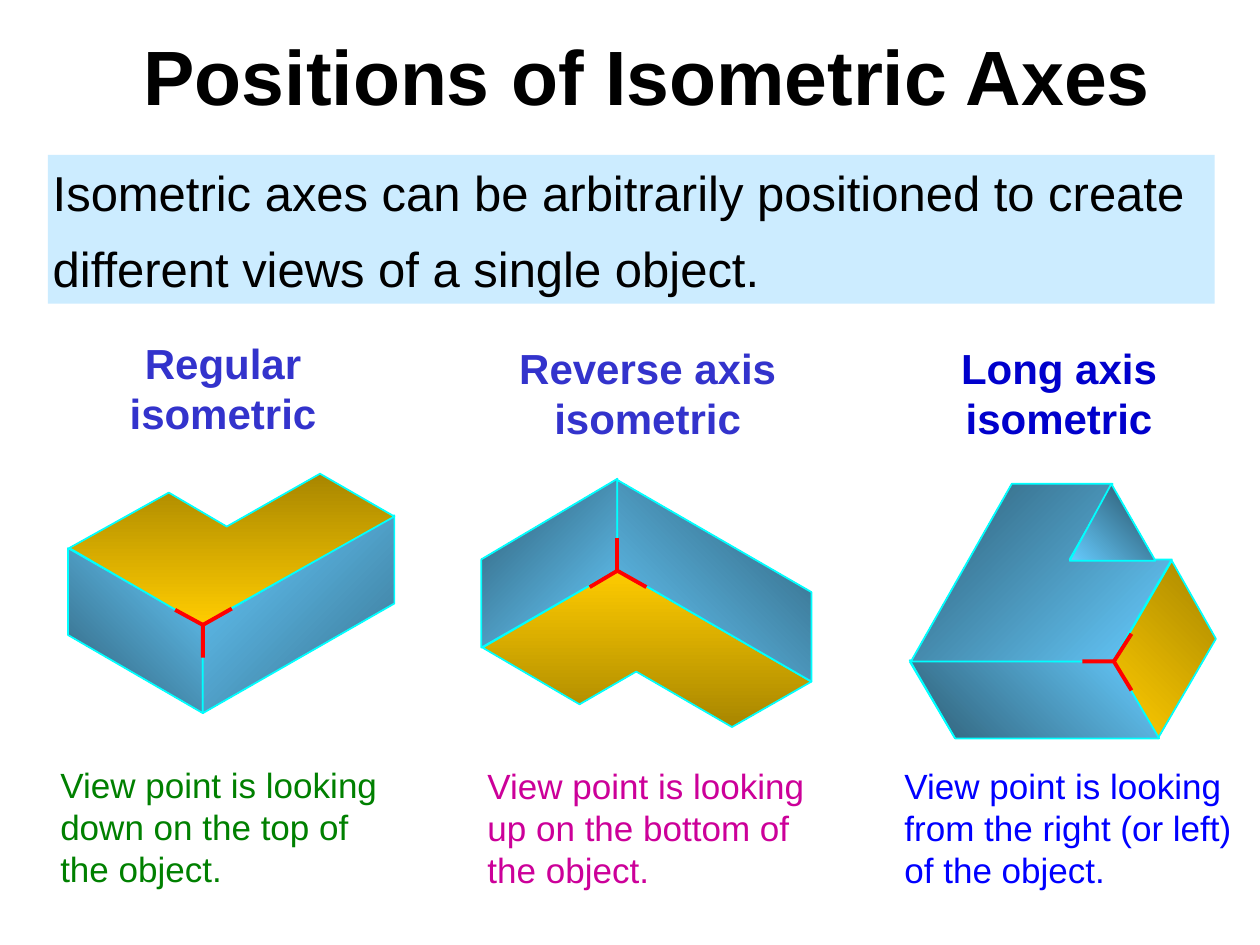
from lxml import etree
from pptx import Presentation
from pptx.dml.color import RGBColor
from pptx.enum.shapes import MSO_CONNECTOR, MSO_SHAPE
from pptx.enum.text import MSO_AUTO_SIZE, PP_ALIGN
from pptx.oxml.ns import qn
from pptx.util import Inches, Pt

CENTER, LEFT = PP_ALIGN.CENTER, PP_ALIGN.LEFT
FIT_SHAPE = MSO_AUTO_SIZE.SHAPE_TO_FIT_TEXT
STRAIGHT = MSO_CONNECTOR.STRAIGHT
RECTANGLE = MSO_SHAPE.RECTANGLE

THEME = {
    "font": "Arial",
    "title_size": 44, "statement_size": 28, "heading_size": 24, "caption_size": 20,
    "text": "000000", "banner": "CCECFF",
    "edge": "00FFFF", "edge_width": 1,
    "axis": "FF0000", "axis_width": 2.25,
    "gold_bright": ("FFCC00", "A88600"), "gold_dim": ("A88600", "FFCC00"),
    "blue_bright": ("66CCFF", "2F5E75"), "blue_dim": ("2F5E75", "66CCFF"),
    "blue_soft": ("38718E", "66CCFF"), "blue_deep": ("24495B", "66CCFF"),
}

TITLE = "Positions of Isometric Axes"
STATEMENT = ("Isometric axes can be arbitrarily positioned to create "
             "different views of a single object.")

VIEWS = [
    {
        "heading": ["Regular", "isometric"],
        "heading_box": (0.93, 2.63, 1.68, 0.9), "heading_color": "3333CC",
        "caption": ["View point is looking", "down on the top of", "the object."],
        "caption_box": (0.38, 6.01, 2.72, 1.1), "caption_color": "008000",
        "faces": [
            ("blue_bright", 135, [(0.54, 4.35), (0.54, 5.04), (1.61, 5.66), (1.61, 4.96)]),
            ("blue_soft", 225, [(1.61, 5.66), (3.13, 4.79), (3.13, 4.09), (1.61, 4.96)]),
            ("gold_dim", 90, [(0.55, 4.35), (1.6, 4.96), (3.13, 4.1), (2.54, 3.76),
                              (1.8, 4.18), (1.34, 3.91)]),
        ],
        "edges": [],
        "axis_pair": [(1.39, 4.84), (1.61, 4.96), (1.61, 5.22)],
        "axis_end": (1.84, 4.83),
    },
    {
        "heading": ["Reverse axis", "isometric"],
        "heading_box": (4.02, 2.67, 2.24, 0.9), "heading_color": "3333CC",
        "caption": ["View point is looking", "up on the bottom of", "the object."],
        "caption_box": (3.77, 6.02, 2.72, 1.1), "caption_color": "CC0099",
        "faces": [
            ("gold_bright", 90, [(3.83, 5.14), (4.6, 5.59), (5.05, 5.33), (5.81, 5.77),
                                 (6.44, 5.41), (4.9, 4.52)]),
            ("blue_bright", 225, [(3.82, 5.14), (3.82, 4.44), (4.9, 3.8), (4.9, 4.52)]),
            ("blue_dim", 135, [(6.44, 5.41), (4.9, 4.52), (4.9, 3.81), (6.44, 4.7)]),
        ],
        "edges": [],
        "axis_pair": [(4.68, 4.66), (4.9, 4.53), (5.13, 4.66)],
        "axis_end": (4.9, 4.27),
    },
    {
        "heading": ["Long axis", "isometric"],
        "heading_box": (7.5, 2.67, 1.81, 0.9), "heading_color": "0000CC",
        "caption": ["View point is looking", "from the right (or left)", "of the object."],
        "caption_box": (7.08, 6.02, 2.8, 1.1), "caption_color": "0000FF",
        "faces": [
            ("gold_dim", 135, [(9.19, 5.86), (9.65, 5.07), (9.3, 4.45), (8.84, 5.24)]),
            ("blue_bright", 135, [(9.2, 5.86), (7.58, 5.86), (7.22, 5.24), (8.84, 5.25)]),
            ("blue_bright", 225, [(7.23, 5.25), (8.03, 3.84), (8.83, 3.84), (8.49, 4.44),
                                  (9.3, 4.44), (8.83, 5.25)]),
            ("blue_deep", 135, [(8.82, 3.84), (9.17, 4.45), (8.49, 4.45)]),
        ],
        "edges": [((7.22, 5.25), (7.58, 5.86))],
        "axis_pair": [(8.59, 5.25), (8.84, 5.25), (8.98, 5.48)],
        "axis_end": (8.98, 5.03),
    },
]


def style_line(line, role):
    line.color.rgb = RGBColor.from_string(THEME[role])
    line.width = Pt(THEME[role + "_width"])


def add_outline(shapes, points, role, closed):
    corners = [(Inches(x), Inches(y)) for x, y in points]
    builder = shapes.build_freeform(*corners[0])
    builder.add_line_segments(corners[1:], close=closed)
    outline = builder.convert_to_shape()
    outline.shadow.inherit = False
    style_line(outline.line, role)
    return outline


def add_face(shapes, gradient, angle, corners):
    face = add_outline(shapes, corners, "edge", True)
    face.fill.gradient()
    face.fill.gradient_angle = 360 - angle
    for stop, color in zip(face.fill.gradient_stops, THEME[gradient]):
        stop.color.rgb = RGBColor.from_string(color)


def add_straight(shapes, start, end, role):
    ends = [Inches(value) for value in (*start, *end)]
    connector = shapes.add_connector(STRAIGHT, *ends)
    style_line(connector.line, role)
    etree.SubElement(connector._element.spPr, qn("a:effectLst"))


def add_text(shapes, box, lines, size, color, bold=False, align=LEFT, wrap=False, spacing=None):
    frame = shapes.add_textbox(*map(Inches, box)).text_frame
    frame.word_wrap = wrap
    frame.auto_size = FIT_SHAPE
    frame.text = "\n".join(lines)
    for paragraph in frame.paragraphs:
        paragraph.alignment = align
        paragraph.line_spacing = spacing
        for run in paragraph.runs:
            run.font.name = THEME["font"]
            run.font.size = Pt(THEME[size])
            run.font.bold = bold
            run.font.color.rgb = RGBColor.from_string(color)


def add_view(shapes, view):
    for face in view["faces"]:
        add_face(shapes, *face)
    for start, end in view["edges"]:
        add_straight(shapes, start, end, "edge")
    axis_pair = add_outline(shapes, view["axis_pair"], "axis", False)
    axis_pair.fill.background()
    add_straight(shapes, view["axis_pair"][1], view["axis_end"], "axis")
    add_text(shapes, view["heading_box"], view["heading"], "heading_size",
             view["heading_color"], bold=True, align=CENTER)
    add_text(shapes, view["caption_box"], view["caption"], "caption_size",
             view["caption_color"])


def main():
    deck = Presentation()
    deck.slide_width, deck.slide_height = Inches(10), Inches(7.5)
    shapes = deck.slides.add_slide(deck.slide_layouts[6]).shapes

    add_text(shapes, (1.03, 0.18, 8.22, 0.84), [TITLE], "title_size", THEME["text"],
             bold=True, align=CENTER)
    banner = shapes.add_shape(RECTANGLE, *map(Inches, (0.38, 1.23, 9.26, 1.18)))
    banner.shadow.inherit = False
    banner.fill.solid()
    banner.fill.fore_color.rgb = RGBColor.from_string(THEME["banner"])
    banner.line.fill.background()
    add_text(shapes, (0.32, 1.1, 9.51, 1.32), [STATEMENT], "statement_size",
             THEME["text"], wrap=True, spacing=1.3)

    for view in VIEWS:
        add_view(shapes, view)
    deck.save("out.pptx")


if __name__ == "__main__":
    main()
